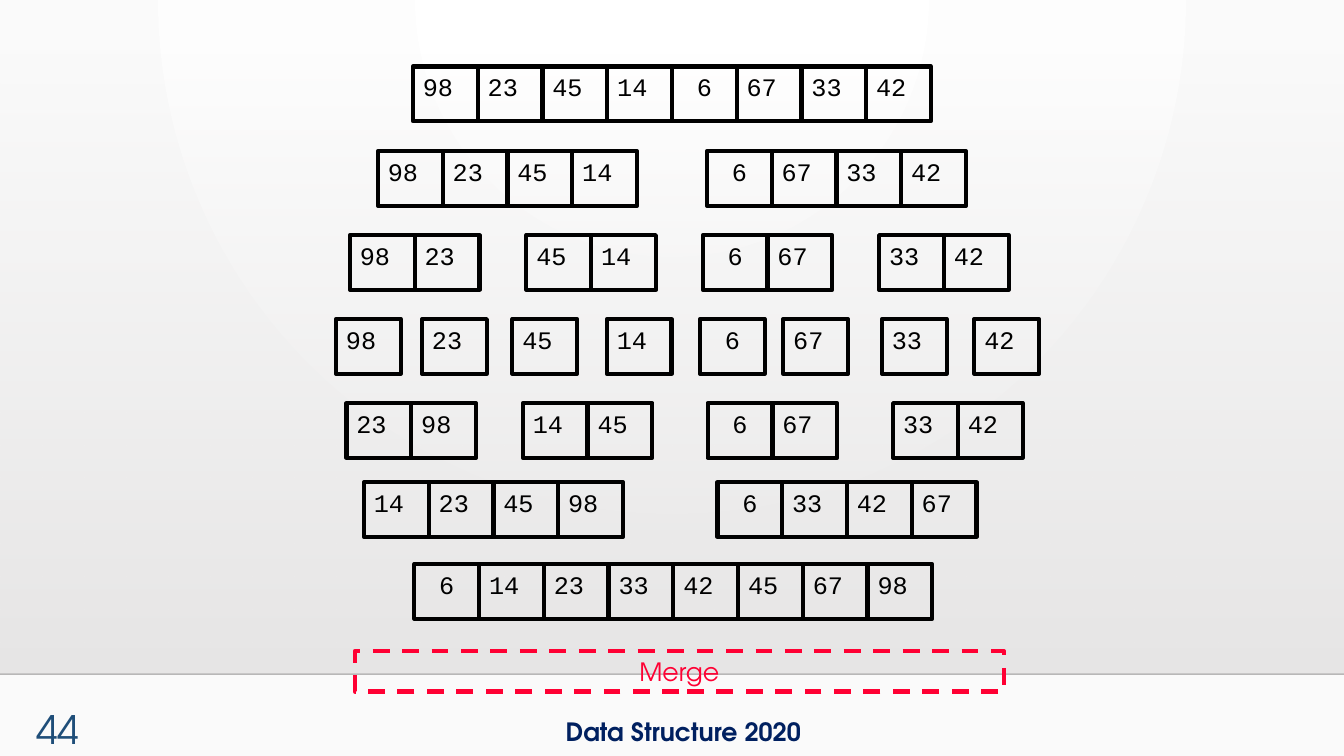
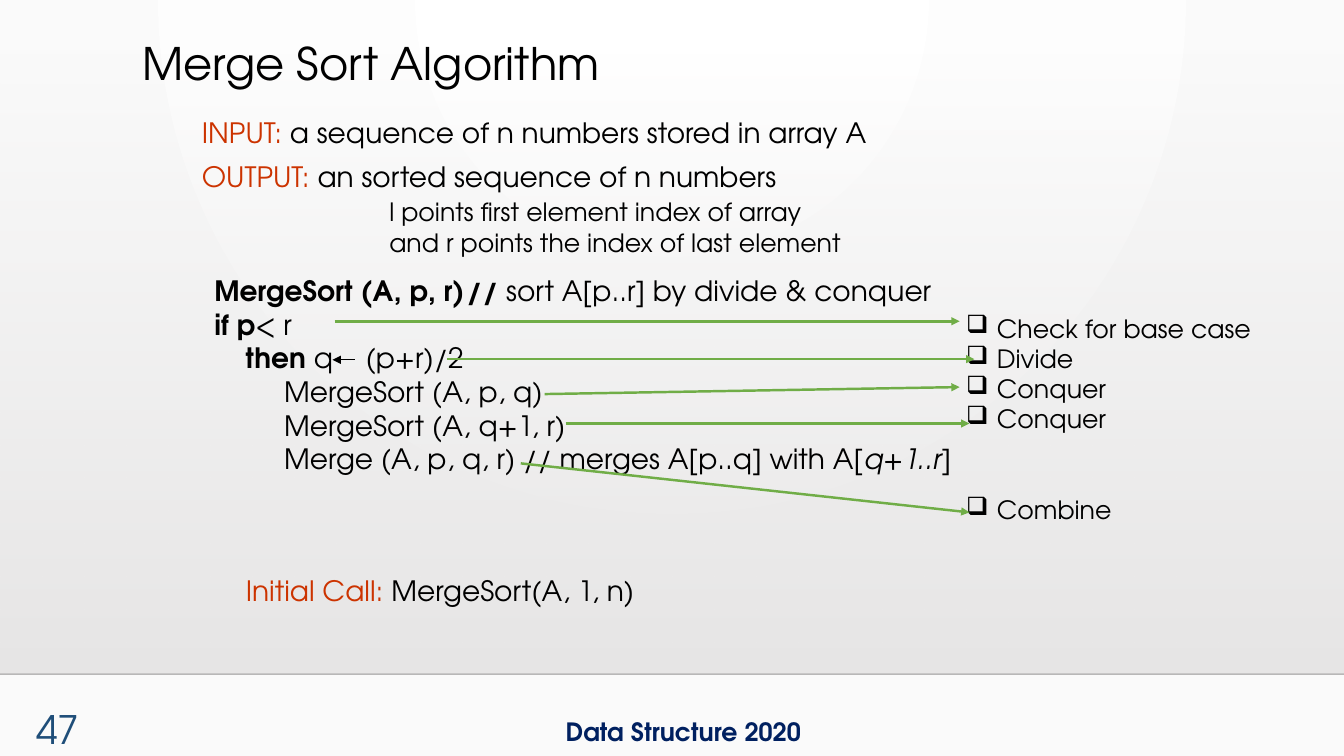
from lxml import etree
from pptx import Presentation
from pptx.dml.color import RGBColor
from pptx.enum.dml import MSO_LINE
from pptx.enum.shapes import MSO_CONNECTOR, MSO_SHAPE
from pptx.enum.text import MSO_ANCHOR, MSO_AUTO_SIZE, PP_ALIGN
from pptx.oxml.ns import qn
from pptx.util import Pt

RECTANGLE = MSO_SHAPE.RECTANGLE
STRAIGHT = MSO_CONNECTOR.STRAIGHT
DASH = MSO_LINE.DASH
TOP, MIDDLE = MSO_ANCHOR.TOP, MSO_ANCHOR.MIDDLE
LEFT, CENTER, RIGHT = PP_ALIGN.LEFT, PP_ALIGN.CENTER, PP_ALIGN.RIGHT
NO_FIT = MSO_AUTO_SIZE.NONE
CONTENT_LAYOUT, BLANK_LAYOUT = 1, 6

WIDTH, HEIGHT = 960, 540
FONT, CELL_FONT = "TeX Gyre Adventor", "Courier New"
COLORS = {
    "black": "000000",
    "rule": "000001",
    "label": "CC3300",
    "merge": "FF0033",
    "arrow": "70AD47",
    "footer": "002060",
    "number": "1F4E79",
    "center": "FFFFFF",
    "edge": "FAFAFA",
    "shade top": "E7E6E6",
    "shade bottom": "E8E7E7",
}
CELL_WIDTH, CELL_HEIGHT = 46.25, 39


def color(name):
    return RGBColor.from_string(COLORS[name])


def add_xml(parent, tag, **attributes):
    return etree.SubElement(parent, qn(tag), attributes)


def set_alpha(parent, percent):
    """Make the first RGB colour below parent partly transparent."""
    rgb = next(parent.iter(qn("a:srgbClr")))
    add_xml(rgb, "a:alpha", val=str(percent * 1000))


def set_gradient(fill, *names):
    fill.gradient()
    for stop, name in zip(fill.gradient_stops, names):
        stop.color.rgb = color(name)


class Slides:
    """Holds the deck, its shared style and the current page."""

    def __init__(self):
        self.deck = Presentation()
        self.deck.slide_width, self.deck.slide_height = Pt(WIDTH), Pt(HEIGHT)
        self.page = None
        self.set_background()

    def set_background(self):
        master = self.deck.slide_master
        set_gradient(master.background.fill, "center", "edge")
        gradient = next(master.element.iter(qn("a:gradFill")))
        gradient.remove(gradient.find(qn("a:lin")))
        circle = add_xml(gradient, "a:path", path="circle")
        add_xml(circle, "a:fillToRect", l="43000", r="43000", b="100000")

    def add_page(self, number, layout):
        first = self.page is None
        self.page = self.deck.slides.add_slide(self.deck.slide_layouts[layout])
        if first:
            self.decorate_master()
        self.text((0, 500, 64, 40), [[(str(number), {"size": 28, "color": "number"})]],
                  align=RIGHT)

    def decorate_master(self):
        """Draw the shared shapes on the first page and move them to the master."""
        shade = self.rectangle((0, 36.5, WIDTH, 445))
        shade.line.fill.background()
        set_gradient(shade.fill, "shade top", "shade bottom")
        shade.fill.gradient_angle = 270
        set_alpha(shade.element, 0)
        rule = self.line((0, 481.5), (WIDTH, 481.5), "rule", 1)
        set_alpha(rule.element, 20)
        footer = self.text((397, 508, 188, 29), [[("Data Structure 2020",
                           {"size": 18, "color": "footer", "bold": True})]], wrap=False)
        for shape in (shade, rule, footer):
            self.deck.slide_master.shapes.element.append(shape.element)

    def place(self, shape, area):
        for side, length in zip(("left", "top", "width", "height"), area):
            setattr(shape, side, Pt(length))

    def set_text(self, shape, paragraphs, size=18, align=LEFT, wrap=True, anchor=TOP,
                 font=FONT, gap=0, tabs=(), bullet=None):
        """Fill a shape with paragraphs, each a list of (text, format) spans."""
        frame = shape.text_frame
        for name, value in {"word_wrap": wrap, "auto_size": NO_FIT,
                            "vertical_anchor": anchor}.items():
            setattr(frame, name, value)
        for index, spans in enumerate(paragraphs):
            para = frame.add_paragraph() if index else frame.paragraphs[0]
            para.alignment = align
            para.space_before = Pt(gap if index else 0)
            self.set_bullet(para, bullet, tabs)
            for words, changes in spans:
                span = para.add_run()
                span.text = words
                look = {"name": font, "size": size, "color": "black",
                        "bold": False, "italic": False, **changes}
                span.font.color.rgb = color(look.pop("color"))
                look["size"] = Pt(look["size"])
                for name, value in look.items():
                    setattr(span.font, name, value)
        return shape

    def set_bullet(self, para, bullet, tabs):
        properties = para._p.get_or_add_pPr()
        hang = Pt(22) if bullet else 0
        properties.set("marL", str(hang))
        properties.set("indent", str(-hang))
        if bullet:
            add_xml(properties, "a:buChar", char=bullet)
        else:
            add_xml(properties, "a:buNone")
        if tabs:
            stops = add_xml(properties, "a:tabLst")
            for position in tabs:
                add_xml(stops, "a:tab", pos=str(Pt(position)), algn="l")

    def text(self, area, paragraphs, **style):
        box = self.page.shapes.add_textbox(*map(Pt, area))
        return self.set_text(box, paragraphs, **style)

    def title(self, area, words):
        self.place(self.page.shapes.title, area)
        self.set_text(self.page.shapes.title, [[(words, {})]], size=32, align=CENTER,
                      anchor=MIDDLE)

    def body(self, area, paragraphs, **style):
        body = self.page.placeholders[1]
        self.place(body, area)
        self.set_text(body, paragraphs, **style)

    def rectangle(self, area):
        shape = self.page.shapes.add_shape(RECTANGLE, *map(Pt, area))
        shape.shadow.inherit = False
        return shape

    def frame(self, area, words, tint="black", dash=None, **style):
        """Draw an unfilled outlined rectangle with text."""
        shape = self.rectangle(area)
        shape.fill.background()
        shape.line.color.rgb = color(tint)
        shape.line.width = Pt(3)
        if dash:
            shape.line.dash_style = dash
        self.set_text(shape, [[(words, {"color": tint})]], **style)

    def cells(self, left, top, values):
        for index, value in enumerate(values):
            self.frame((left + index * CELL_WIDTH, top, CELL_WIDTH, CELL_HEIGHT),
                       str(value), font=CELL_FONT, wrap=False,
                       align=CENTER if value < 10 else LEFT)

    def line(self, start, end, tint, width):
        line = self.page.shapes.add_connector(STRAIGHT, *map(Pt, start + end))
        line.line.color.rgb = color(tint)
        line.line.width = Pt(width)
        add_xml(line.element.spPr, "a:effectLst")
        return line

    def arrow(self, start, end, tint="arrow", width=1.75):
        arrow = self.line(start, end, tint, width)
        add_xml(next(arrow.element.iter(qn("a:ln"))), "a:tailEnd", type="triangle")


def add_merge_example(slides):
    slides.add_page(44, BLANK_LAYOUT)
    numbers = [98, 23, 45, 14, 6, 67, 33, 42]
    split_rows = [
        (47.5, [295]),
        (108, [270, 505]),
        (168, [250, 376, 502, 628]),
        (228, [240, 301.5, 366, 433.5, 500, 559.5, 630, 696]),
    ]
    merged_rows = [
        (288, [247.5, 373.5, 505.5, 638]),
        (344.5, [260, 512.5]),
        (403, [296]),
    ]
    for rows, arrange in ((split_rows, list), (merged_rows, sorted)):
        for top, lefts in rows:
            size = len(numbers) // len(lefts)
            for index, left in enumerate(lefts):
                group = numbers[index * size:(index + 1) * size]
                slides.cells(left, top, arrange(group))
    slides.frame((253.5, 465, 463.5, 29), "Merge", tint="merge", dash=DASH, align=CENTER)


def add_algorithm(slides):
    label, bold, italic = {"color": "label"}, {"bold": True}, {"italic": True}
    slides.add_page(47, CONTENT_LAYOUT)
    slides.title((85, 8, 360, 73), "Merge Sort Algorithm")
    slides.body((137, 79, 686, 82), [
        [("INPUT: ", label), ("a sequence of n numbers stored in array A", {})],
        [("OUTPUT: ", label), ("an sorted sequence of n numbers", {})],
    ], size=20, gap=7)
    slides.text((271, 137, 347, 51), [[(
        "l points first element index of array and r points the index of last element", {})]])
    slides.text((146, 192, 597, 153), [
        [("MergeSort (A, p, r)\t// ", bold), ("sort A[p..r] by divide & conquer", {})],
        [("if p", bold), ("< r", {})],
        [("    then", bold), (" q\t(p+r)/2", {})],
        [("         MergeSort (A, p, q)", {})],
        [("         MergeSort (A, q+1, r)", {})],
        [("         Merge (A, p, q, r) // merges A[p..q] with A[", {}),
         ("q+1..r", italic), ("]", {})],
    ], size=20, tabs=(101.5, 197))
    slides.text((168.5, 406, 295, 32), [
        [("Initial Call: ", label), ("MergeSort(A, 1, n)", {})]], size=20, wrap=False)

    steps = ["Check for base case", "Divide", "Conquer", "Conquer", "Combine"]
    checklist = slides.text((683, 220, 243, 160), [[(step, {})] for step in steps],
                            bullet="❑")
    checklist.text_frame.paragraphs[-1].space_before = Pt(43.5)

    slides.arrow((253.5, 257), (237.5, 257), "black", 0.75)
    for start, end in [
        ((239, 229.5), (685.5, 229.5)),
        ((319.5, 256.5), (696, 256.5)),
        ((389, 281.5), (685.5, 276.5)),
        ((404, 302.5), (692.5, 302.5)),
        ((372, 331), (692.5, 366)),
    ]:
        slides.arrow(start, end)


def main():
    slides = Slides()
    add_merge_example(slides)
    add_algorithm(slides)
    slides.deck.save("out.pptx")


if __name__ == "__main__":
    main()
